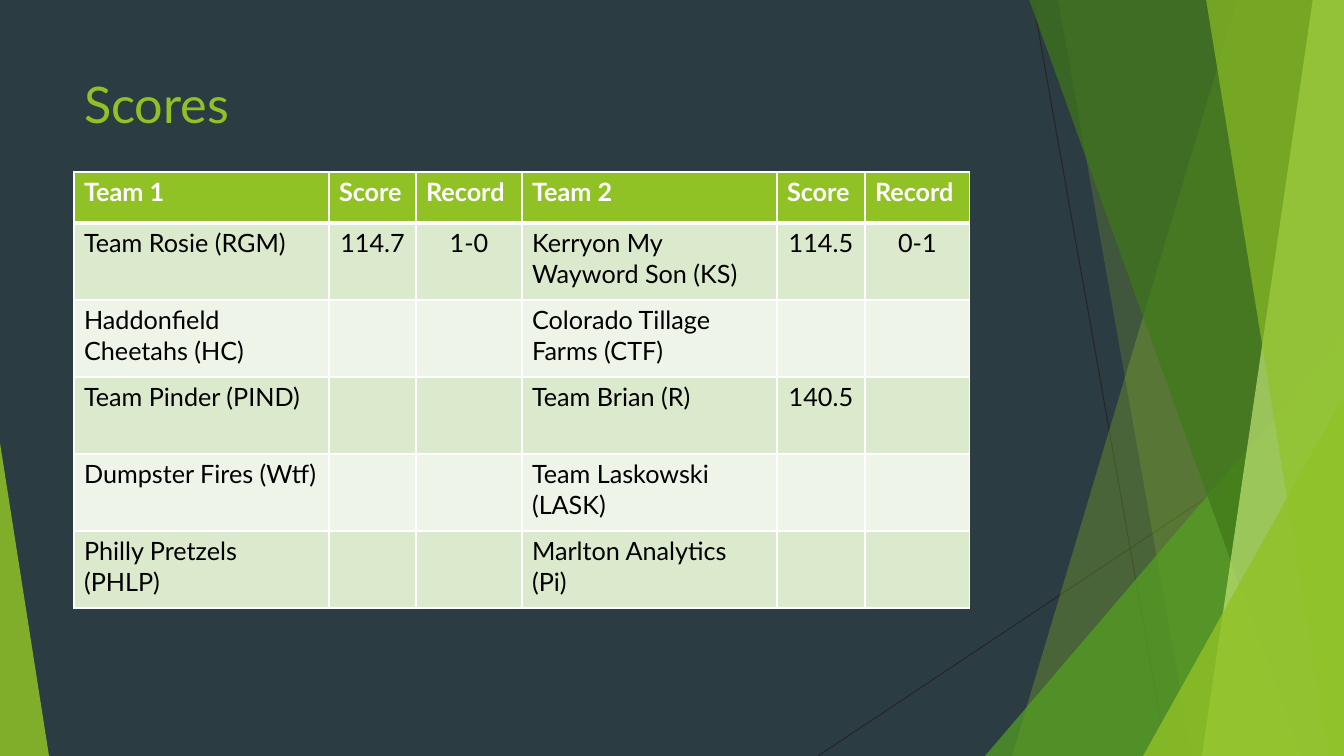
import pptx
import pptx.util
import pptx.dml.color
import pptx.enum.shapes
import pptx.enum.text
import pptx.oxml
import pptx.oxml.ns

RGBColor = pptx.dml.color.RGBColor
BACKGROUND = RGBColor(0x2C, 0x3C, 0x43)
LIME = RGBColor(0x90, 0xC2, 0x26)
GREEN = RGBColor(0x54, 0xA0, 0x21)
FOREST = RGBColor(0x3F, 0x78, 0x19)
PALE_LIME = RGBColor(0xC0, 0xE4, 0x74)
CHARCOAL = RGBColor(0x26, 0x26, 0x26)
WHITE = RGBColor(0xFF, 0xFF, 0xFF)
BLACK = RGBColor(0x00, 0x00, 0x00)
BAND_FILLS = (RGBColor(0xDB, 0xE9, 0xCD), RGBColor(0xEE, 0xF4, 0xE8))

FONT = "Lato"
WIDTH, HEIGHT = 1344, 756
TITLE = "Scores"
TITLE_BOX = (74, 68, 948, 145)
TABLE_LEFT, TABLE_TOP = 74, 172
COLUMN_WIDTHS = (255, 87, 106, 255, 88, 105)
HEADER_HEIGHT, ROW_HEIGHT = 51, 77
HEADER = ("Team 1", "Score", "Record", "Team 2", "Score", "Record")
MATCHES = [
    ("Team Rosie (RGM)", "114.7", "1-0", "Kerryon My Wayword Son (KS)", "114.5", "0-1"),
    ("Haddonfield Cheetahs (HC)", "", "", "Colorado Tillage Farms (CTF)", "", ""),
    ("Team Pinder (PIND)", "", "", "Team Brian (R)", "140.5", ""),
    ("Dumpster Fires (Wtf)", "", "", "Team Laskowski (LASK)", "", ""),
    ("Philly Pretzels (PHLP)", "", "", "Marlton Analytics (Pi)", "", ""),
]
TEAM_COLUMNS = (0, 3)
THIN_LINES = [(1033, 0, 1167, HEIGHT), (WIDTH, 406, 818, HEIGHT)]
FACETS = [
    ("band", (1238, 1012), LIME, 30),
    ("band", (1058, 1192), LIME, 20),
    ("triangle", (985, 336, 359, 420, 1), GREEN, 72),
    ("band", (1029, 1301), FOREST, 70),
    ("band", (1313, 1202), PALE_LIME, 70),
    ("band", (1206, 1329), LIME, 65),
    ("triangle", (1143, 396, 201, 360, 1), LIME, 80),
    ("triangle", (0, 443, 49, 313, 0), LIME, 85),
]


def px(length):
    return pptx.util.Emu(round(length * 12192000 / WIDTH))


def apply_format(target, values):
    for name, value in values.items():
        setattr(target, name, value)


def style_font(font, size, color, bold=False):
    apply_format(font, {"name": FONT, "size": pptx.util.Pt(size), "bold": bold})
    font.color.rgb = color


def add_thin_line(slide, ends):
    line = slide.shapes.add_connector(
        pptx.enum.shapes.MSO_CONNECTOR.STRAIGHT, *map(px, ends))
    line.line.color.rgb = CHARCOAL
    line.line.width = pptx.util.Pt(0.75)
    line.element.spPr.append(pptx.oxml.parse_xml(
        f'<a:effectLst {pptx.oxml.ns.nsdecls("a")}/>'))


def add_facet(slide, kind, geometry, color, opacity):
    if kind == "band":
        top_x, bottom_x = geometry
        corners = [(WIDTH, -1), (WIDTH, HEIGHT), (bottom_x, HEIGHT)]
        builder = slide.shapes.build_freeform(px(top_x), px(-1))
        builder.add_line_segments([(px(x), px(y)) for x, y in corners], close=True)
        shape = builder.convert_to_shape()
    else:
        *box, apex = geometry
        shape = slide.shapes.add_shape(
            pptx.enum.shapes.MSO_SHAPE.ISOSCELES_TRIANGLE, *map(px, box))
        shape.adjustments[0] = apex
    shape.shadow.inherit = False
    shape.fill.solid()
    shape.fill.fore_color.rgb = color
    shape.line.fill.background()
    color_element = shape.element.spPr.find(".//" + pptx.oxml.ns.qn("a:srgbClr"))
    color_element.append(pptx.oxml.parse_xml(
        f'<a:alpha {pptx.oxml.ns.nsdecls("a")} val="{opacity * 1000}"/>'))


def add_title(slide):
    title = slide.shapes.title
    left, top, width, height = map(px, TITLE_BOX)
    apply_format(title, {"left": left, "top": top, "width": width, "height": height})
    frame = title.text_frame
    frame.text = TITLE
    apply_format(frame, {
        "word_wrap": True,
        "auto_size": pptx.enum.text.MSO_AUTO_SIZE.NONE,
        "vertical_anchor": pptx.enum.text.MSO_ANCHOR.TOP,
    })
    paragraph = frame.paragraphs[0]
    paragraph.alignment = pptx.enum.text.PP_ALIGN.LEFT
    style_font(paragraph.runs[0].font, 36, LIME)
    title.element.getparent().append(title.element)


def set_borders(cell, widths):
    properties = cell._tc.get_or_add_tcPr()
    for side, points in widths.items():
        properties.append(pptx.oxml.parse_xml(
            f'<a:ln{side} {pptx.oxml.ns.nsdecls("a")} w="{pptx.util.Pt(points)}">'
            f'<a:solidFill><a:srgbClr val="{WHITE}"/></a:solidFill></a:ln{side}>'))


def add_scores(slide):
    rows = [HEADER] + MATCHES
    heights = [HEADER_HEIGHT] + [ROW_HEIGHT] * len(MATCHES)
    table = slide.shapes.add_table(
        len(rows), len(HEADER), px(TABLE_LEFT), px(TABLE_TOP),
        px(sum(COLUMN_WIDTHS)), px(sum(heights))).table
    for column, width in zip(table.columns, COLUMN_WIDTHS):
        column.width = px(width)
    for row_index, (values, height) in enumerate(zip(rows, heights)):
        table.rows[row_index].height = px(height)
        is_header = row_index == 0
        fill = LIME if is_header else BAND_FILLS[(row_index - 1) % 2]
        borders = {"L": 1, "R": 1, "T": 3 if row_index == 1 else 1, "B": 3 if is_header else 1}
        for column_index, value in enumerate(values):
            cell = table.cell(row_index, column_index)
            set_borders(cell, borders)
            cell.fill.solid()
            cell.fill.fore_color.rgb = fill
            paragraph = cell.text_frame.paragraphs[0]
            if not is_header and column_index not in TEAM_COLUMNS:
                paragraph.alignment = pptx.enum.text.PP_ALIGN.CENTER
            if value:
                run = paragraph.add_run()
                run.text = value
                style_font(run.font, 18, WHITE if is_header else BLACK, is_header)


presentation = pptx.Presentation()
apply_format(presentation, {"slide_width": px(WIDTH), "slide_height": px(HEIGHT)})
slide = presentation.slides.add_slide(presentation.slide_layouts[5])
slide.background.fill.solid()
slide.background.fill.fore_color.rgb = BACKGROUND
for ends in THIN_LINES:
    add_thin_line(slide, ends)
for facet in FACETS:
    add_facet(slide, *facet)
add_title(slide)
add_scores(slide)
presentation.save("out.pptx")
